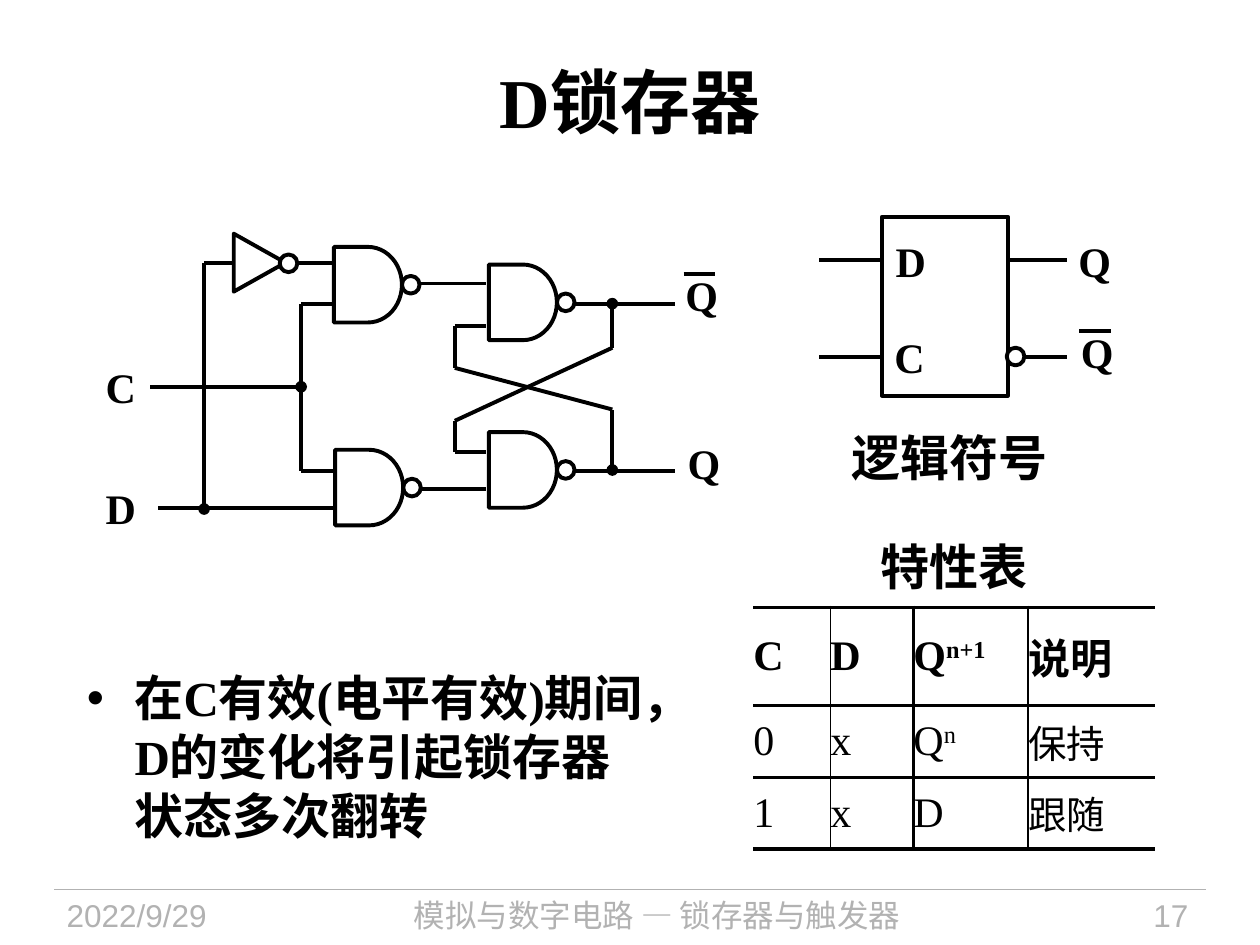
from dataclasses import dataclass

from lxml import etree
from pptx import Presentation
from pptx.dml.color import RGBColor
from pptx.enum.shapes import MSO_CONNECTOR, MSO_SHAPE
from pptx.enum.text import MSO_ANCHOR, MSO_AUTO_SIZE, PP_ALIGN
from pptx.oxml.ns import qn
from pptx.util import Inches, Pt

COLORS = {"ink": "000000", "paper": "FFFFFF", "footer": "B2B2B2"}
SERIF, SANS, CHINESE = "Times New Roman", "Arial", "Noto Sans CJK SC"
STRAIGHT = MSO_CONNECTOR.STRAIGHT
RECTANGLE, OVAL = MSO_SHAPE.RECTANGLE, MSO_SHAPE.OVAL
DELAY, TRIANGLE = MSO_SHAPE.FLOWCHART_DELAY, MSO_SHAPE.ISOSCELES_TRIANGLE
LEFT, CENTER, RIGHT = PP_ALIGN.LEFT, PP_ALIGN.CENTER, PP_ALIGN.RIGHT
MIDDLE, FIT = MSO_ANCHOR.MIDDLE, MSO_AUTO_SIZE.SHAPE_TO_FIT_TEXT
COLUMNS, ROWS = 100, 75
CELL = Inches(10) // COLUMNS
GATE_WIDTH, GATE_HEIGHT, BUBBLE = 5.4, 6, 1.4


@dataclass
class Box:
    """A region of the slide, measured in grid columns and rows."""
    left: float
    top: float
    width: float
    height: float

    def place(self, x, y):
        """Turn a point of the region into slide lengths."""
        return round((self.left + x) * CELL), round((self.top + y) * CELL)


def rgb(name):
    """Look up a named colour."""
    return RGBColor.from_string(COLORS[name])


def style_runs(paragraph, size, bold=True, font=SERIF, color="ink"):
    """Format every run with a Latin and a Chinese font."""
    for run in paragraph.runs:
        run.font.size, run.font.bold, run.font.name = Pt(size), bold, font
        run.font.color.rgb = rgb(color)
        east_asian = etree.SubElement(run._r.get_or_add_rPr(), qn("a:ea"))
        east_asian.set("typeface", CHINESE)


def add_text(slide, box, x, y, width, height, text, wrap=False):
    """Place a text box and return its paragraph."""
    shape = slide.shapes.add_textbox(*box.place(x, y), round(width * CELL), round(height * CELL))
    shape.text_frame.word_wrap = wrap
    if not wrap:
        shape.text_frame.auto_size = FIT
    shape.text_frame.text = text
    return shape.text_frame.paragraphs[0]


def add_label(slide, box, x, y, text, overbar=False):
    """Place a one-letter signal name, negated by an overbar if asked."""
    style_runs(add_text(slide, box, x, y, 4.5, 5, text), 24)
    if overbar:
        add_wire(slide, box, [(x + 0.85, y + 0.85), (x + 3.35, y + 0.85)])


def add_wire(slide, box, points, dot=False, color="ink", width=2.25):
    """Join the points with straight lines, the first one dotted if asked."""
    for index, (start, end) in enumerate(zip(points, points[1:])):
        wire = slide.shapes.add_connector(STRAIGHT, *box.place(*start), *box.place(*end))
        wire.line.color.rgb, wire.line.width = rgb(color), Pt(width)
        if dot and index == 0:
            etree.SubElement(wire.line._get_or_add_ln(), qn("a:headEnd")).set("type", "oval")
        etree.SubElement(wire._element.spPr, qn("a:effectLst"))


def add_outline(slide, box, kind, x, y, width, height):
    """Place a white shape with a black outline."""
    shape = slide.shapes.add_shape(kind, *box.place(x, y), round(width * CELL), round(height * CELL))
    shape.shadow.inherit = False
    shape.fill.solid()
    shape.fill.fore_color.rgb = rgb("paper")
    shape.line.color.rgb, shape.line.width = rgb("ink"), Pt(2.25)
    return shape


def add_bubble(slide, box, x, y):
    """Place a negation circle centred on a point."""
    add_outline(slide, box, OVAL, x - BUBBLE / 2, y - BUBBLE / 2, BUBBLE, BUBBLE)


def add_nand(slide, box, x, y):
    """Place a NAND gate by its top left corner."""
    add_bubble(slide, box, x + GATE_WIDTH + BUBBLE / 2, y + GATE_HEIGHT / 2)
    add_outline(slide, box, DELAY, x, y, GATE_WIDTH, GATE_HEIGHT)


def add_title(slide, box, text):
    """Move and format the title placeholder."""
    title = slide.shapes.title
    title.left, title.top = box.place(0, 0)
    title.width, title.height = round(box.width * CELL), round(box.height * CELL)
    title.text_frame.text = text
    title.text_frame.vertical_anchor = MIDDLE
    paragraph = title.text_frame.paragraphs[0]
    paragraph.alignment = CENTER
    style_runs(paragraph, 40)


def add_circuit(slide, box):
    """Draw the gate circuit of the latch."""
    for y in (6.1, 19.35):
        add_wire(slide, box, [(37.4, y), (46.6, y)])
    for y in (4.5, 20.8):
        add_wire(slide, box, [(23.3, y), (31.6, y)])
    add_wire(slide, box, [(19.6, 6.1), (16.9, 6.1), (16.9, 19.4), (19.7, 19.4)])
    add_wire(slide, box, [(19.7, 22.3), (5.5, 22.3)])
    dotted = (
        [(16.9, 12.7), (4.9, 12.7)],
        [(9.2, 22.4), (9.2, 2.9), (20.1, 2.9)],
        [(41.6, 6.1), (41.6, 9.6), (29.1, 15.4), (29.1, 17.9), (31.6, 17.9)],
        [(41.6, 19.3), (41.6, 14.5), (29.1, 11.2), (29.1, 7.9), (31.6, 7.9)],
    )
    for points in dotted:
        add_wire(slide, box, points, dot=True)
    for x, y in ((31.8, 3), (31.8, 16.3), (19.5, 1.6), (19.6, 17.7)):
        add_nand(slide, box, x, y)
    add_outline(slide, box, TRIANGLE, 11.3, 0.8, 4.6, 4.1).rotation = 90
    add_bubble(slide, box, 15.9, 2.9)
    add_label(slide, box, 0.4, 10.2, "C")
    add_label(slide, box, 0.4, 19.8, "D")
    add_label(slide, box, 46.4, 2.9, "Q", overbar=True)
    add_label(slide, box, 46.6, 16.2, "Q")


def add_symbol(slide, box):
    """Draw the logic symbol with its caption."""
    add_outline(slide, box, RECTANGLE, 5, 0, 10, box.height)
    for y, output in ((3.4, 15), (11.1, 16.4)):
        add_wire(slide, box, [(0, y), (5, y)])
        add_wire(slide, box, [(output, y), (19.7, y)])
    add_bubble(slide, box, 15.6, 11.1)
    add_label(slide, box, 5.1, 1, "D")
    add_label(slide, box, 5, 8.6, "C")
    add_label(slide, box, 19.6, 1, "Q")
    add_label(slide, box, 19.8, 8.2, "Q", overbar=True)
    style_runs(add_text(slide, box, 1.6, 16.2, 17.6, 5.7, "逻辑符号"), 28, font=SANS)


def set_border(cell, side, width):
    """Give one side of a cell a black line, or none at width zero."""
    line = etree.SubElement(cell._tc.get_or_add_tcPr(), qn(f"a:{side}"), w=str(Pt(width)))
    if width:
        fill = etree.SubElement(line, qn("a:solidFill"))
        etree.SubElement(fill, qn("a:srgbClr"), val=COLORS["ink"])
    else:
        etree.SubElement(line, qn("a:noFill"))


def add_function_table(slide, box):
    """Place the characteristic table under its caption."""
    style_runs(add_text(slide, box, 9.1, -6.1, 13.7, 5.7, "特性表"), 28)
    rows = (
        ("C", "D", "Q^n+1", "说明"),
        ("0", "x", "Q^n", "保持"),
        ("1", "x", "D", "跟随"),
    )
    widths, heights, rules = (6.1, 6.6, 9.1, 10.1), (7.8, 5.7, 5.7), (0, 1, 2.25, 1, 0)
    table = slide.shapes.add_table(
        len(rows), len(widths), *box.place(0, 0), round(box.width * CELL), round(box.height * CELL)).table
    table.first_row = table.horz_banding = False
    for column, width in zip(table.columns, widths):
        column.width = round(width * CELL)
    for i, texts in enumerate(rows):
        table.rows[i].height = round(heights[i] * CELL)
        for j, text in enumerate(texts):
            cell = table.cell(i, j)
            cell.margin_left = cell.margin_right = cell.margin_top = cell.margin_bottom = 0
            cell.vertical_anchor = MIDDLE
            base, _, power = text.partition("^")
            paragraph = cell.text_frame.paragraphs[0]
            paragraph.text = base
            if power:
                run = paragraph.add_run()
                run.text = power
                run.font._element.set("baseline", "30000")
            style_runs(paragraph, 22 if i and j == 3 else 24, bold=i == 0)
            borders = {"lnL": rules[j], "lnR": rules[j + 1], "lnT": 2.25, "lnB": 2.25}
            for side, width in borders.items():
                set_border(cell, side, width)
            cell.fill.background()


def add_remark(slide, box, text):
    """Place the bulleted remark."""
    paragraph = add_text(slide, box, 0, 0, box.width, box.height, text, wrap=True)
    properties = paragraph._p.get_or_add_pPr()
    properties.set("marL", str(Inches(0.38)))
    properties.set("indent", str(-Inches(0.38)))
    etree.SubElement(properties, qn("a:buFont"), typeface=SANS)
    etree.SubElement(properties, qn("a:buChar"), char="•")
    style_runs(paragraph, 28)


def add_footer(slide, box):
    """Place the rule, date, course name and page number."""
    add_wire(slide, box, [(0, 0), (box.width, 0)], color="footer", width=0.75)
    parts = (
        (0, 18.8, "2022/9/29", LEFT, SANS),
        (19.7, 56.3, "模拟与数字电路 — 锁存器与触发器", CENTER, CHINESE),
        (77.7, 13.3, "17", RIGHT, SANS),
    )
    for x, width, text, alignment, font in parts:
        paragraph = add_text(slide, box, x, 0, width, box.height, text, wrap=True)
        paragraph.alignment = alignment
        style_runs(paragraph, 18, bold=False, font=font, color="footer")


def main():
    """Build the slide and save it."""
    presentation = Presentation()
    presentation.slide_width, presentation.slide_height = COLUMNS * CELL, ROWS * CELL
    slide = presentation.slides.add_slide(presentation.slide_layouts[5])
    add_title(slide, Box(5, 1.7, 90, 12.5), "D锁存器")
    add_circuit(slide, Box(7, 18, 51, 24))
    add_symbol(slide, Box(65, 17.2, 24.4, 14.2))
    add_function_table(slide, Box(59.8, 48.2, 31.9, 19.2))
    add_remark(slide, Box(5.9, 52.5, 46.2, 16.5), "在C有效(电平有效)期间，D的变化将引起锁存器状态多次翻转")
    add_footer(slide, Box(4.3, 70.6, 91.4, 4.4))
    presentation.save("out.pptx")


if __name__ == "__main__":
    main()
